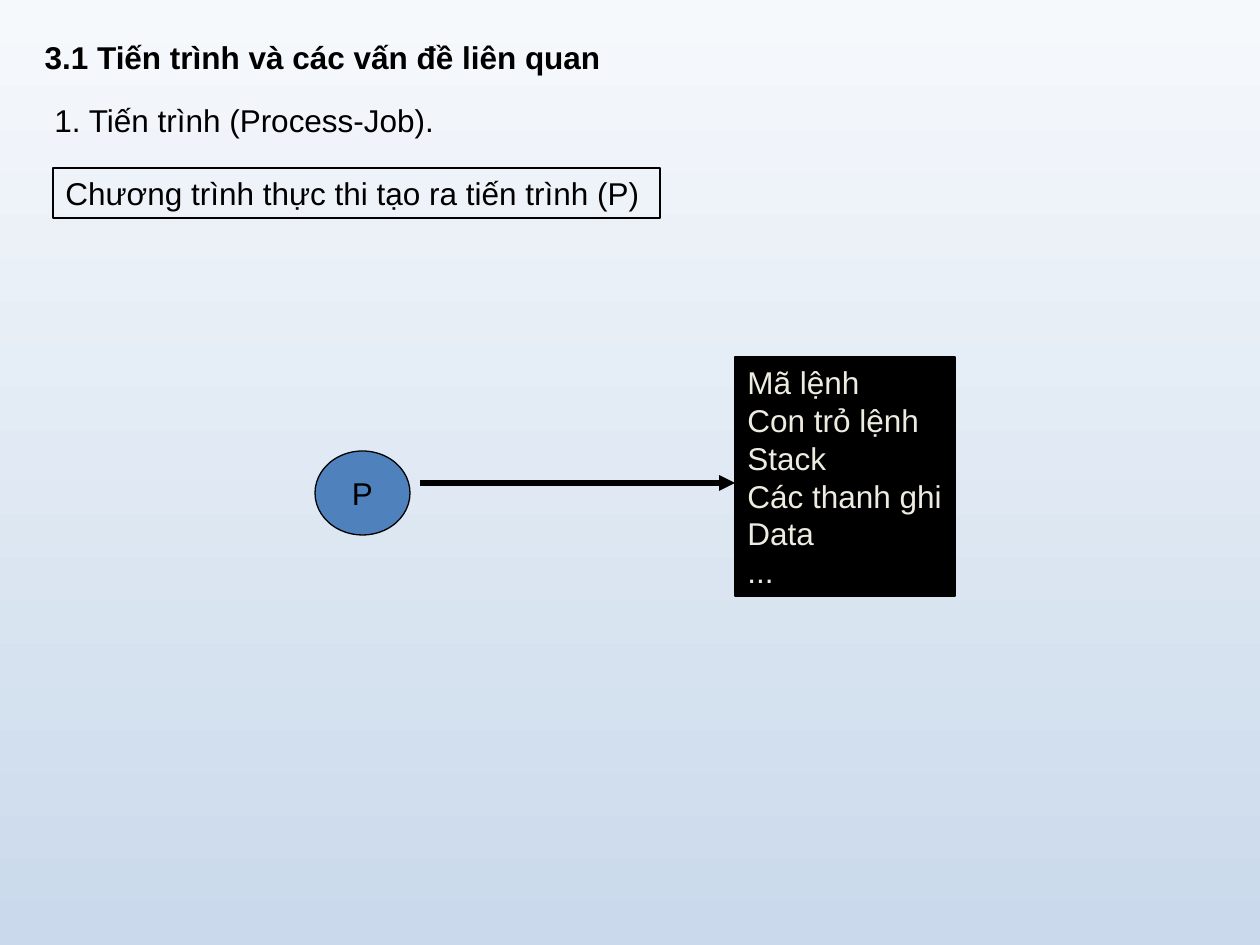
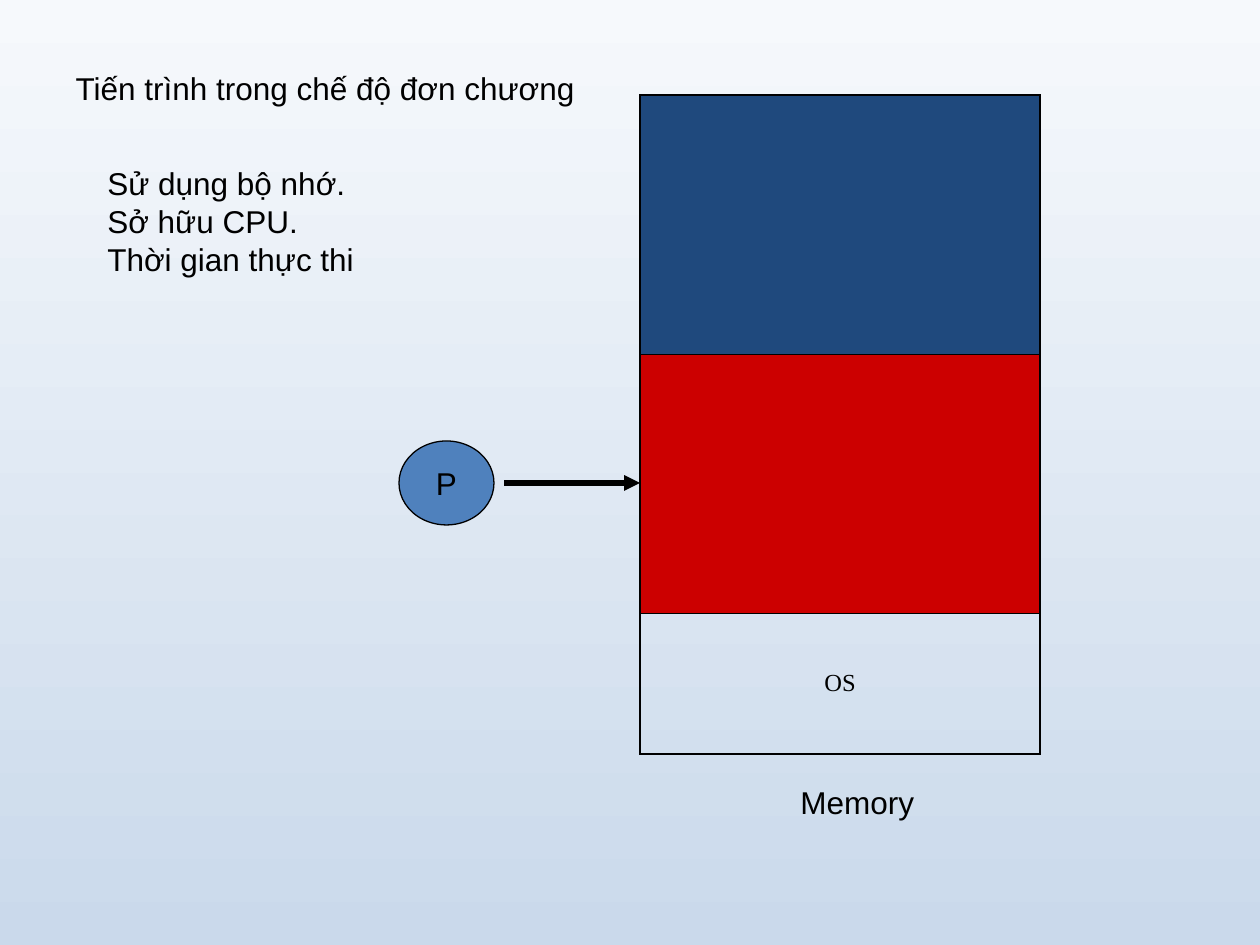
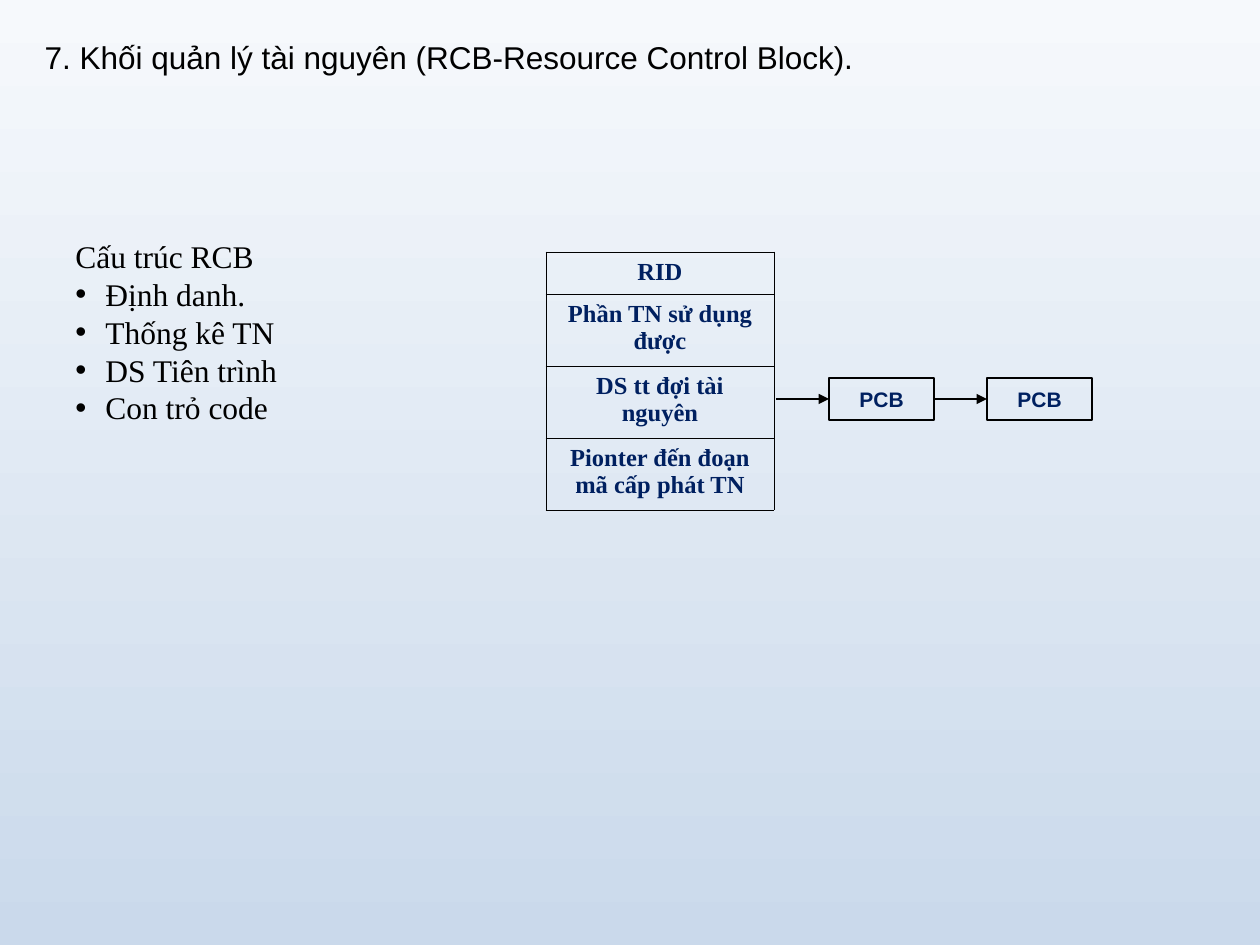
from lxml.etree import SubElement
from pptx import Presentation
from pptx.dml.color import RGBColor
from pptx.enum.shapes import MSO_CONNECTOR, MSO_SHAPE
from pptx.enum.text import MSO_ANCHOR, MSO_AUTO_SIZE, PP_ALIGN
from pptx.oxml.ns import qn
from pptx.util import Emu, Pt

PX_PER_INCH = 126
SANS, SERIF = "Arial", "Times New Roman"
COLORS = {
    "sky_top": "F6F9FC",
    "sky_bottom": "CAD9EB",
    "black": "000000",
    "cream": "EEECE1",
    "process": "4F81BD",
    "free": "1F497D",
    "used": "CC0000",
    "navy": "002060",
}
THIN, FINE, FRAME, THICK = 0.75, 0.45, 1.08, 3

# Boxes are left, top, width, height
TITLES = [
    ("3.1 Tiến trình và các vấn đề liên quan", (32, 32, 582, 50), True),
    ("Tiến trình trong chế độ đơn chương", (63, 63, 534, 50), False),
    ("7. Khối quản lý tài nguyên (RCB-Resource Control Block).", (32, 32, 843, 50), False),
]
SECTION = "1. Tiến trình (Process-Job)."
DEFINITION = "Chương trình thực thi tạo ra tiến trình (P)"
PROCESS_PARTS = ["Mã lệnh", "Con trỏ lệnh", "Stack", "Các thanh ghi", "Data", "..."]
SINGLE_TASKING = ["Sử dụng bộ nhớ.", "Sở hữu CPU.", "Thời gian thực thi"]
MEMORY_ROWS = [("", 259, "free"), ("", 259, "used"), ("OS", 141, None)]
RCB_HEADING = "Cấu trúc RCB"
RCB_PARTS = ["Định danh.", "Thống kê TN", "DS Tiên trình", "Con trỏ code"]
RCB_ROWS = [
    ("RID", 42, None),
    ("Phần TN sử dụng được", 72, None),
    ("DS tt đợi tài nguyên", 72, None),
    ("Pionter đến đoạn mã cấp phát TN", 72, None),
]
WAITING = ["PCB", "PCB"]

ARROW_Y = 483
PROCESS_SIZE = (95, 84)
PROCESS_GAP = 10
PCB_LEFT, PCB_WIDTH, PCB_HEIGHT, PCB_GAP = 829, 105, 42, 53
BULLET_INDENT = 30


def px(length):
    return Emu(round(length * 914400 / PX_PER_INCH))


def rgb(name):
    return RGBColor.from_string(COLORS[name])


def set_text(frame, lines, size=18, font=SANS, color="black", bold=False,
             align=PP_ALIGN.LEFT, anchor=MSO_ANCHOR.TOP, wrap=False):
    frame.text = "\n".join(lines)
    frame.word_wrap = wrap
    frame.vertical_anchor = anchor
    for para in frame.paragraphs:
        format_paragraph(para, size, font, color, bold, align)


def format_paragraph(para, size, font, color, bold, align):
    para.alignment = align
    for span in para.runs:
        span.font.size = Pt(size)
        span.font.name = font
        span.font.bold = bold
        span.font.color.rgb = rgb(color)


def add_page(deck, title, place, bold):
    page = deck.slides.add_slide(deck.slide_layouts.get_by_name("Title Only"))
    box = page.shapes.title
    box.left, box.top, box.width, box.height = map(px, place)
    set_text(box.text_frame, [title], bold=bold, anchor=MSO_ANCHOR.MIDDLE)
    box.text_frame.auto_size = MSO_AUTO_SIZE.NONE
    return page


def add_text(page, place, lines, **style):
    box = page.shapes.add_textbox(*map(px, place))
    set_text(box.text_frame, lines, **style)
    box.text_frame.auto_size = MSO_AUTO_SIZE.SHAPE_TO_FIT_TEXT
    return box


def add_outlined(page, kind, place, lines, fill=None, **style):
    shape = page.shapes.add_shape(kind, *map(px, place))
    shape.shadow.inherit = False
    if fill:
        shape.fill.solid()
        shape.fill.fore_color.rgb = rgb(fill)
    else:
        shape.fill.background()
    shape.line.color.rgb = rgb("black")
    shape.line.width = Pt(THIN)
    set_text(shape.text_frame, lines, **style)


def add_arrow(page, start, end, y, width):
    arrow = page.shapes.add_connector(MSO_CONNECTOR.STRAIGHT, px(start), px(y), px(end), px(y))
    arrow.line.color.rgb = rgb("black")
    arrow.line.width = Pt(width)
    SubElement(arrow.line._get_or_add_ln(), qn("a:tailEnd"), type="triangle")
    SubElement(arrow._element.spPr, qn("a:effectLst"))


def add_process(page, left, top, target):
    """Draw the process P and its arrow to the target's left edge."""
    width, height = PROCESS_SIZE
    add_outlined(page, MSO_SHAPE.OVAL, (left, top, width, height), ["P"], fill="process",
                 align=PP_ALIGN.CENTER, anchor=MSO_ANCHOR.MIDDLE)
    add_arrow(page, left + width + PROCESS_GAP, target, ARROW_Y, THICK)


def set_borders(cell, widths):
    properties = cell._tc.get_or_add_tcPr()
    for position, (side, width) in enumerate(widths.items()):
        line = SubElement(properties, qn(f"a:ln{side}"), w=str(int(Pt(width))))
        fill = SubElement(line, qn("a:solidFill"))
        SubElement(fill, qn("a:srgbClr"), val=COLORS["black"])
        properties.insert(position, line)


def add_stack(page, left, top, width, rows, frame_width, color="black", bold=False,
              anchor=MSO_ANCHOR.TOP):
    """Draw a one-column table whose rows are text, height and fill."""
    total = sum(height for _, height, _ in rows)
    table = page.shapes.add_table(len(rows), 1, px(left), px(top), px(width), px(total)).table
    table.first_row = table.horz_banding = False
    for index, (text, height, fill) in enumerate(rows):
        table.rows[index].height = px(height)
        cell = table.cell(index, 0)
        cell.vertical_anchor = anchor
        cell.text = text
        format_paragraph(cell.text_frame.paragraphs[0], 14, SERIF, color, bold, PP_ALIGN.CENTER)
        if fill:
            cell.fill.solid()
            cell.fill.fore_color.rgb = rgb(fill)
        else:
            cell.fill.background()
        set_borders(cell, {
            "L": frame_width,
            "R": frame_width,
            "T": FINE if index else frame_width,
            "B": FINE if index < len(rows) - 1 else frame_width,
        })
    return table


def add_bullet(para):
    properties = para._p.get_or_add_pPr()
    properties.set("marL", str(px(BULLET_INDENT)))
    properties.set("indent", str(-px(BULLET_INDENT)))
    SubElement(properties, qn("a:buFont"), typeface=SANS)
    SubElement(properties, qn("a:buChar"), char="•")


def set_background(deck):
    fill = deck.slide_master.background.fill
    fill.gradient()
    fill.gradient_angle = 270
    for stop, name in zip(fill.gradient_stops, ("sky_top", "sky_bottom")):
        stop.color.rgb = rgb(name)


def build_process_page(page):
    add_text(page, (42, 95, 416, 50), [SECTION], anchor=MSO_ANCHOR.MIDDLE)
    add_outlined(page, MSO_SHAPE.RECTANGLE, (53, 168, 607, 50), [DEFINITION],
                 anchor=MSO_ANCHOR.MIDDLE)
    add_process(page, 315, 451, target=735)
    add_outlined(page, MSO_SHAPE.RECTANGLE, (735, 357, 220, 239), PROCESS_PARTS,
                 fill="black", color="cream", wrap=True)


def build_memory_page(page):
    table = add_stack(page, 640, 95, 400, MEMORY_ROWS, FRAME, anchor=MSO_ANCHOR.MIDDLE)
    table.cell(len(MEMORY_ROWS) - 1, 0).text_frame.paragraphs[0].space_before = Pt(3.5)
    add_text(page, (788, 777, 139, 50), ["Memory"])
    add_process(page, 399, 441, target=640)
    add_text(page, (95, 158, 280, 126), SINGLE_TASKING, anchor=MSO_ANCHOR.MIDDLE)


def build_resource_page(page):
    add_stack(page, 546, 252, 228, RCB_ROWS, FINE, color="navy", bold=True)
    for index, label in enumerate(WAITING):
        left = PCB_LEFT + index * (PCB_WIDTH + PCB_GAP)
        add_outlined(page, MSO_SHAPE.RECTANGLE, (left, 378, PCB_WIDTH, PCB_HEIGHT), [label],
                     size=12, color="navy", bold=True,
                     align=PP_ALIGN.CENTER, anchor=MSO_ANCHOR.MIDDLE)
        add_arrow(page, left - PCB_GAP, left, 378 + PCB_HEIGHT / 2, THIN)
    box = add_text(page, (63, 231, 462, 202), [RCB_HEADING, *RCB_PARTS], font=SERIF, wrap=True)
    for para in box.text_frame.paragraphs[1:]:
        add_bullet(para)


def main():
    deck = Presentation()
    deck.slide_width, deck.slide_height = px(1260), px(945)
    set_background(deck)
    builders = [build_process_page, build_memory_page, build_resource_page]
    for (title, place, bold), build in zip(TITLES, builders):
        build(add_page(deck, title, place, bold))
    deck.save("out.pptx")


if __name__ == "__main__":
    main()
